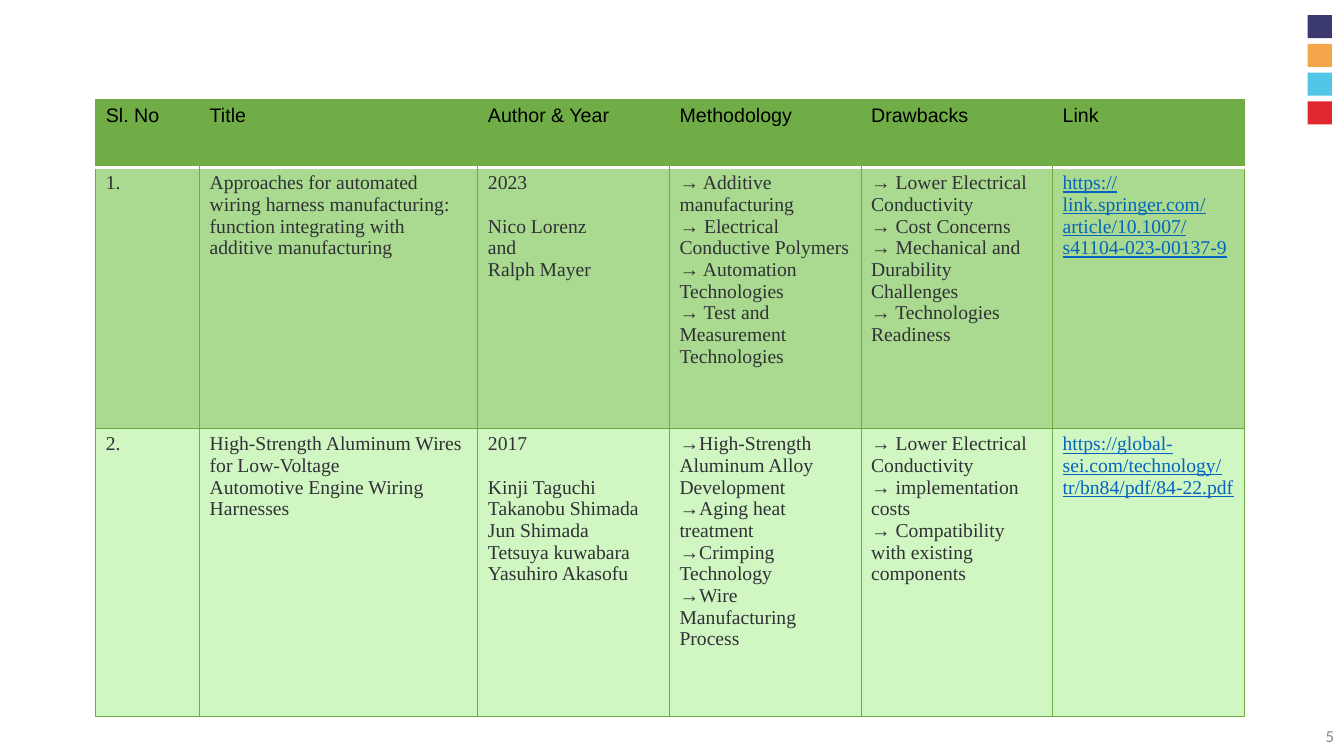
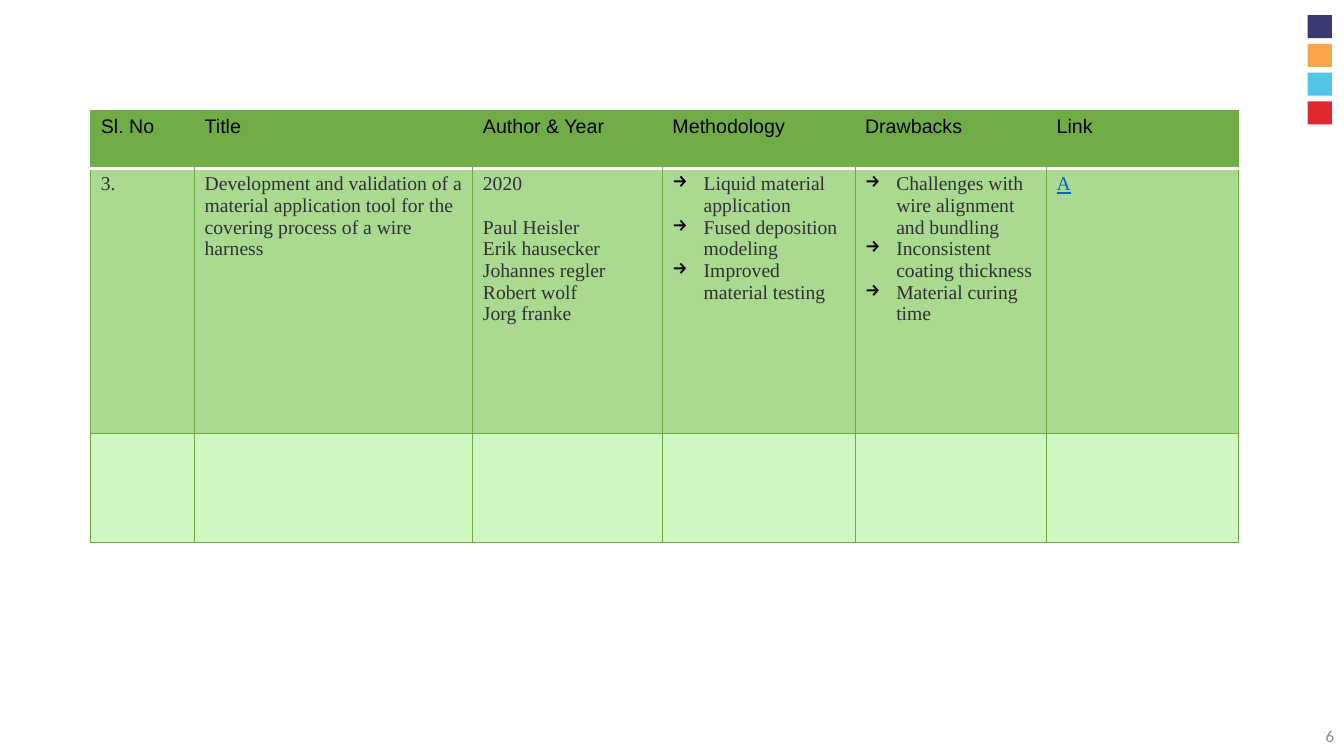
from lxml import etree
from pptx import Presentation
from pptx import util as u
from pptx.dml.color import RGBColor
from pptx.enum import shapes, text
from pptx.oxml.ns import qn

HEADER, BAND, PALE, BORDER, WHITE = "70AD47", "A9DA8F", "D0F6C2", "6DAC43", "FFFFFF"
BLACK, INK, LINK, GREY = "000000", "303036", "0563C1", "888888"
ACCENTS = ["3A3A70", "F7A54B", "51C6E7", "E12730"]
HEADINGS = ["Sl. No", "Title", "Author & Year", "Methodology", "Drawbacks", "Link"]
BLANK_LINE = u.Pt(15.5)
BULLET_INDENT = u.Inches(0.31)


def rgb(value):
    return RGBColor.from_string(value)


def set_border(cell, side, color, points):
    line = etree.SubElement(cell._tc.get_or_add_tcPr(), qn(f"a:ln{side}"), w=str(u.Pt(points)))
    fill = etree.SubElement(line, qn("a:solidFill"))
    etree.SubElement(fill, qn("a:srgbClr"), val=color)


# Each entry is a list of paragraphs
harness_paper = [
    ["1."],
    ["Approaches for automated wiring harness manufacturing: "
     "function integrating with additive manufacturing"],
    ["2023", "Nico Lorenz", "and", "Ralph Mayer"],
    ["→ Additive manufacturing", "→ Electrical Conductive Polymers",
     "→ Automation Technologies", "→ Test and Measurement Technologies"],
    ["→ Lower Electrical Conductivity", "→ Cost Concerns",
     "→ Mechanical and Durability Challenges", "→ Technologies Readiness"],
    ["https://link.springer.com/article/10.1007/s41104-023-00137-9"],
]
aluminum_paper = [
    ["2."],
    ["High-Strength Aluminum Wires for Low-Voltage", "Automotive Engine Wiring Harnesses"],
    ["2017", "Kinji Taguchi", "Takanobu Shimada", "Jun Shimada", "Tetsuya kuwabara",
     "Yasuhiro Akasofu"],
    ["→High-Strength Aluminum Alloy Development", "→Aging heat treatment",
     "→Crimping Technology", "→Wire Manufacturing Process"],
    ["→ Lower Electrical Conductivity", "→ implementation costs",
     "→ Compatibility with existing components"],
    ["https://global-sei.com/technology/tr/bn84/pdf/84-22.pdf"],
]
covering_paper = [
    ["3."],
    ["Development and validation of a material application tool "
     "for the covering process of a wire harness"],
    ["2020", "Paul Heisler", "Erik hausecker", "Johannes regler", "Robert wolf", "Jorg franke"],
    ["Liquid material application", "Fused deposition modeling", "Improved material testing"],
    ["Challenges with wire alignment and bundling", "Inconsistent coating thickness",
     "Material curing time"],
    ["A"],
]
no_paper = [[] for _ in HEADINGS]

# Page number, table corner, column widths, row heights, papers, bulleted lists
surveys = [
    (5, (0.95, 0.99), [1.03, 2.76, 1.9, 1.9, 1.9, 1.9], [0.67, 2.59, 2.86],
     [harness_paper, aluminum_paper], False),
    (6, (0.9, 1.1), [1.03, 2.76, 1.88, 1.91, 1.9, 1.9], [0.57, 2.63, 1.08],
     [covering_paper, no_paper], True),
]

prs = Presentation()
prs.slide_width, prs.slide_height = u.Inches(13.33), u.Inches(7.5)

for page, corner, widths, heights, papers, bulleted in surveys:
    slide = prs.slides.add_slide(prs.slide_layouts[6])

    # Accent squares
    for i, color in enumerate(ACCENTS):
        square = slide.shapes.add_shape(
            shapes.MSO_SHAPE.RECTANGLE, u.Inches(12.97), u.Inches(0.15 + i * 0.285),
            u.Inches(0.24), u.Inches(0.23))
        square.shadow.inherit = False
        square.fill.solid()
        square.fill.fore_color.rgb = rgb(color)
        square.line.fill.background()

    # Page number
    footer = slide.shapes.add_textbox(
        u.Inches(10.33), u.Inches(7.1), u.Inches(3), u.Inches(0.4)).text_frame
    footer.word_wrap = True
    footer.vertical_anchor = text.MSO_ANCHOR.MIDDLE
    number = footer.paragraphs[0]
    number.text = str(page)
    number.alignment = text.PP_ALIGN.RIGHT
    number.font.size, number.font.name = u.Pt(12), "Calibri"
    number.font.color.rgb = rgb(GREY)

    # Literature table
    survey = slide.shapes.add_table(
        len(heights), len(widths), *map(u.Inches, corner),
        u.Inches(sum(widths)), u.Inches(sum(heights))).table
    survey.horz_banding = False
    for column, width in zip(survey.columns, widths):
        column.width = u.Inches(width)
    for row, height in zip(survey.rows, heights):
        row.height = u.Inches(height)

    rows = [[[heading] for heading in HEADINGS], *papers]
    for r, (entries, shade) in enumerate(zip(rows, [HEADER, BAND, PALE])):
        for c, (heading, entry) in enumerate(zip(HEADINGS, entries)):
            cell = survey.cell(r, c)
            is_header = r == 0
            for side in "LRTB":
                if (is_header and side == "B") or (r == 1 and side == "T"):
                    set_border(cell, side, WHITE, 2)
                else:
                    inner = is_header and ((side == "L" and c > 0)
                                           or (side == "R" and c < len(HEADINGS) - 1))
                    set_border(cell, side, HEADER if inner else BORDER, 0.75)
            cell.fill.solid()
            cell.fill.fore_color.rgb = rgb(shade)

            is_link = heading == "Link" and not is_header
            for i, words in enumerate(entry):
                frame = cell.text_frame
                para = frame.paragraphs[0] if i == 0 else frame.add_paragraph()
                para.text = words
                if heading == "Author & Year" and i == 1:
                    para.space_before = BLANK_LINE
                if bulleted and not is_header and heading in ("Methodology", "Drawbacks"):
                    props = para._p.get_or_add_pPr()
                    props.set("marL", str(BULLET_INDENT))
                    props.set("indent", str(-BULLET_INDENT))
                    bullet_color = etree.SubElement(props, qn("a:buClr"))
                    etree.SubElement(bullet_color, qn("a:srgbClr"), val=BLACK)
                    etree.SubElement(props, qn("a:buChar"), char="→")
                # Runs carry the look, since cells take it from the table style
                for font in (para.font, para.runs[0].font):
                    font.size, font.bold = u.Pt(14), False
                    font.name = "Arial" if is_header else "Times New Roman"
                    font.color.rgb = rgb(BLACK if is_header else LINK if is_link else INK)
                    font.underline = is_link

prs.save("out.pptx")
